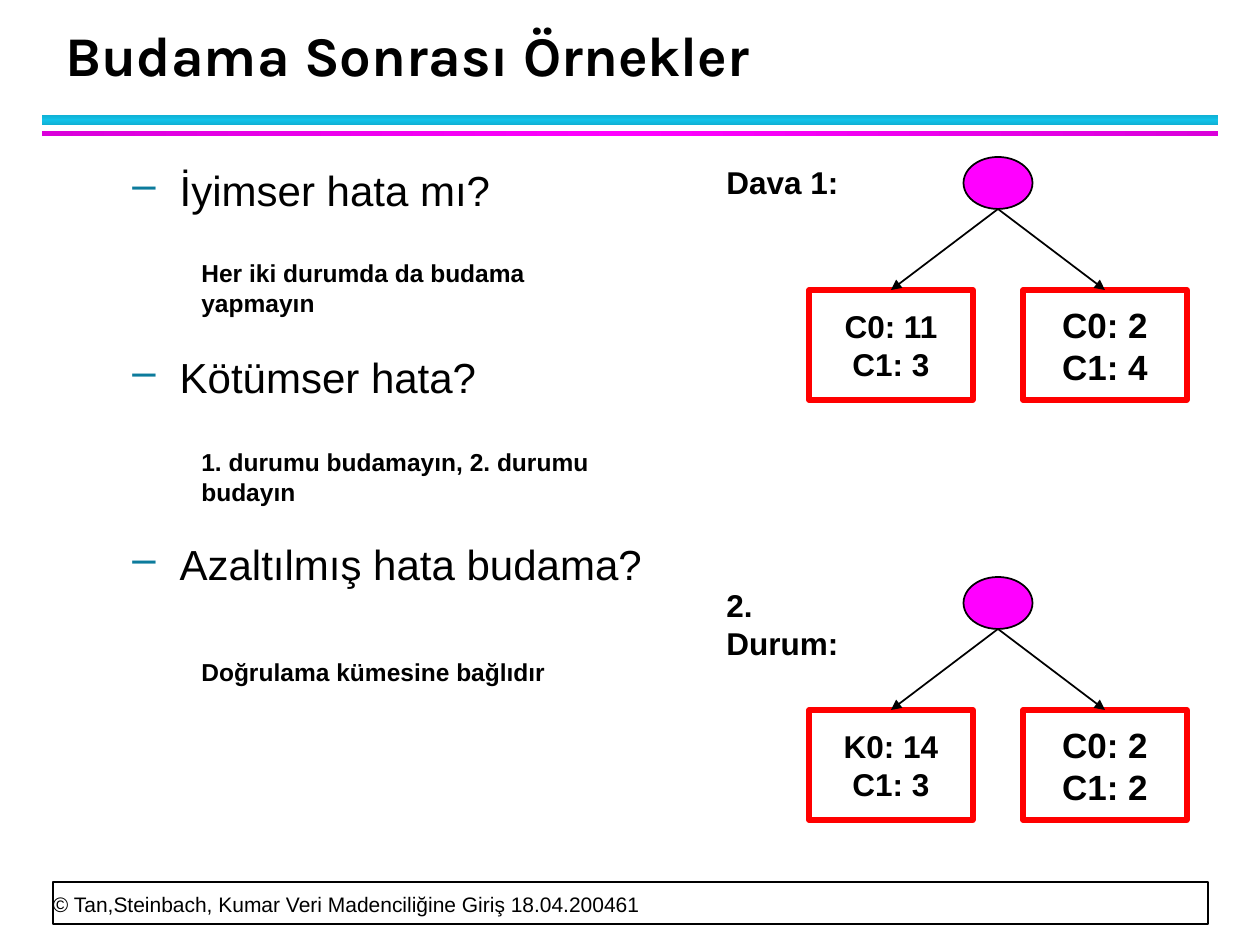
from pptx import Presentation
from pptx.dml.color import RGBColor
from pptx.enum.shapes import MSO_CONNECTOR, MSO_SHAPE
from pptx.enum.text import MSO_ANCHOR, PP_ALIGN
from pptx.oxml import parse_xml
from pptx.oxml.ns import nsdecls
from pptx.oxml.xmlchemy import OxmlElement
from pptx.util import Emu, Pt

RECT, OVAL = MSO_SHAPE.RECTANGLE, MSO_SHAPE.OVAL
STRAIGHT = MSO_CONNECTOR.STRAIGHT
TOP, MIDDLE, BOTTOM = MSO_ANCHOR.TOP, MSO_ANCHOR.MIDDLE, MSO_ANCHOR.BOTTOM
LEFT, CENTER = PP_ALIGN.LEFT, PP_ALIGN.CENTER

# Content; lengths in px, 126 to the inch
PX = 914400 / 126
TITLE = "Budama Sonrası Örnekler"
FOOTER = "© Tan,Steinbach, Kumar Veri Madenciliğine Giriş 18.04.200461"
QUESTIONS = ["İyimser hata mı?", "Kötümser hata?", "Azaltılmış hata budama?"]
ANSWERS = [  # text, top, width
    ("Her iki durumda da budama yapmayın", 252, 388),
    ("1. durumu budamayın, 2. durumu budayın", 441, 451),
    ("Doğrulama kümesine bağlıdır", 651, 451),
]
BANDS = [  # top, height, edge colour, middle colour, angle
    (115, 10, "10B0D3", "12C2E9", 90),
    (131, 5, "DA00DA", "FF00FF", 0),
]
CASES = [  # label, label top, tree top, leaves
    ("Dava 1:", 157, 157, [["C0: 11", "C1: 3"], ["C0: 2", "C1: 4"]]),
    ("2. Durum:", 580, 577, [["K0: 14", "C1: 3"], ["C0: 2", "C1: 2"]]),
]
LEAF_SIZES = [18, 20]
ROOT_CENTER, ROOT_WIDTH, ROOT_HEIGHT = 998, 69, 52
LEAF_LEFT, LEAF_STEP, LEAF_DROP = 809, 214, 133
LEAF_WIDTH, LEAF_HEIGHT = 164, 110


def px(*values):
    return [Emu(round(value * PX)) for value in values]


def color(value):
    return RGBColor.from_string(value)


def write(box, lines, size=18, font="Arial", bold=False, align=LEFT,
          anchor=TOP, wrap=True, spacing=None, after=0, margins=None):
    frame = box.text_frame
    frame.word_wrap = wrap
    frame.vertical_anchor = anchor
    if margins is not None:
        frame.margin_left = frame.margin_right = margins
        frame.margin_top = frame.margin_bottom = margins
    for index, line in enumerate(lines):
        para = frame.paragraphs[0] if index == 0 else frame.add_paragraph()
        para.alignment = align
        para.space_after = Pt(after)
        if spacing:
            para.line_spacing = Pt(spacing)
        span = para.add_run()
        span.text = line
        span.font.name, span.font.size, span.font.bold = font, Pt(size), bold
        span.font.color.rgb = color("000000")
    return frame


def add_text(page, at, lines, **form):
    return write(page.shapes.add_textbox(*px(*at)), lines, **form)


def add_figure(page, kind, at, fill=None, line=None, weight=1):
    figure = page.shapes.add_shape(kind, *px(*at))
    figure.shadow.inherit = False
    if fill:
        figure.fill.solid()
        figure.fill.fore_color.rgb = color(fill)
    else:
        figure.fill.background()
    if line:
        figure.line.color.rgb = color(line)
        figure.line.width = Pt(weight)
    else:
        figure.line.fill.background()
    return figure


def add_band(page, top, height, edge, middle, angle):
    band = add_figure(page, RECT, (42, top, 1176, height), fill=edge)
    stops = "".join(
        f'<a:gs pos="{place * 1000}"><a:srgbClr val="{tone}"/></a:gs>'
        for place, tone in ((0, edge), (50, middle), (100, edge)))
    gradient = parse_xml(
        f'<a:gradFill {nsdecls("a")} rotWithShape="1"><a:gsLst>{stops}</a:gsLst>'
        f'<a:lin ang="{angle * 60000}" scaled="0"/></a:gradFill>')
    properties = band._element.spPr
    properties.replace(properties.find("{*}solidFill"), gradient)


def add_arrow(page, start, leaf):
    arrow = page.shapes.add_connector(STRAIGHT, *px(*start, *start))
    arrow.end_connect(leaf, 0)
    arrow.line.color.rgb = color("000000")
    arrow.line.width = Pt(1)
    head = OxmlElement("a:tailEnd")
    head.set("type", "triangle")
    arrow.line._get_or_add_ln().append(head)
    arrow._element.spPr.append(OxmlElement("a:effectLst"))


def add_dash(para):
    properties = para._p.get_or_add_pPr()
    properties.set("marL", "800100")
    properties.set("indent", "-342900")
    properties.append(parse_xml(
        f'<a:buClr {nsdecls("a")}><a:srgbClr val="0C7B9C"/></a:buClr>'))
    bullet = OxmlElement("a:buChar")
    bullet.set("char", "–")
    properties.append(bullet)


def add_tree(page, top, leaves):
    add_figure(page, OVAL,
               (ROOT_CENTER - ROOT_WIDTH / 2, top, ROOT_WIDTH, ROOT_HEIGHT),
               fill="FF00FF", line="000000")
    for index, (lines, size) in enumerate(zip(leaves, LEAF_SIZES)):
        at = (LEAF_LEFT + index * LEAF_STEP, top + LEAF_DROP,
              LEAF_WIDTH, LEAF_HEIGHT)
        leaf = add_figure(page, RECT, at, line="FF0000", weight=3)
        write(leaf, lines, size=size, bold=True, align=CENTER,
              anchor=MIDDLE, wrap=False)
        add_arrow(page, (ROOT_CENTER, top + ROOT_HEIGHT), leaf)


def main():
    deck = Presentation()
    deck.slide_width, deck.slide_height = px(1260, 945)
    page = deck.slides.add_slide(deck.slide_layouts[6])

    # Rules, footer and title
    for band in BANDS:
        add_band(page, *band)
    add_figure(page, RECT, (53, 882, 1155, 42), fill="FFFFFF", line="000000")
    add_text(page, (53, 882, 1153, 35), [FOOTER], size=12, anchor=BOTTOM,
             spacing=20, margins=0)
    add_text(page, (53, 21, 1142, 73), [TITLE], size=32, font="Karla",
             bold=True, anchor=BOTTOM, spacing=36)

    # Questions and answers
    frame = add_text(page, (57, 158, 636, 714), QUESTIONS, size=24, after=78)
    for para in frame.paragraphs:
        add_dash(para)
    for answer, top, width in ANSWERS:
        add_text(page, (189, top, width, 42), [answer], size=14, bold=True)

    # Decision trees
    for label, label_top, tree_top, leaves in CASES:
        add_tree(page, tree_top, leaves)
        add_text(page, (714, label_top, 168, 50), [label], bold=True)

    deck.save("out.pptx")


if __name__ == "__main__":
    main()
